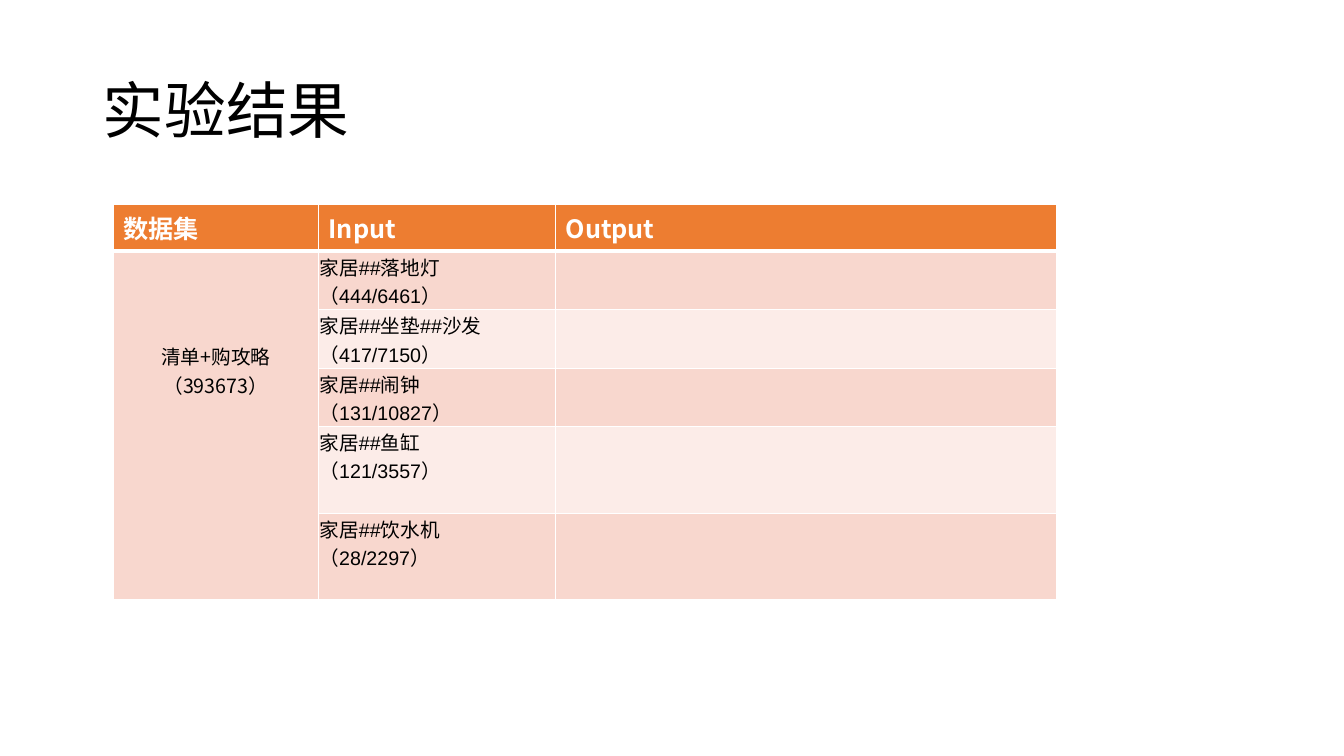
from dataclasses import dataclass

from lxml.etree import SubElement
from pptx import Presentation
from pptx.dml.color import RGBColor
from pptx.enum.text import MSO_ANCHOR as Anchor, PP_ALIGN as Align
from pptx.oxml.ns import qn
from pptx.util import Inches, Pt


@dataclass(frozen=True)
class Theme:
    cjk: str = "Noto Sans CJK SC"
    latin: str = "Arial"
    black: str = "000000"
    white: str = "FFFFFF"
    header: str = "ED7D31"
    bands: tuple[str, str] = ("F8D7CE", "FCECE8")
    title_size: int = 44
    header_size: int = 18
    body_size: int = 14
    line: float = 1
    header_line: float = 3


@dataclass(frozen=True)
class Sample:
    category: str
    count: str
    height: float = 0.58
    anchor: Anchor = Anchor.MIDDLE


THEME = Theme()
HEADERS = ("数据集", "Input", "Output")
DATASET = "清单+购攻略（393673）"
COL_WIDTHS = (2.04, 2.35, 4.97)
HEADER_HEIGHT = 0.45
SAMPLES = (
    Sample("家居##落地灯", "（444/6461）"),
    Sample("家居##坐垫##沙发", "（417/7150）"),
    Sample("家居##闹钟", "（131/10827）"),
    Sample("家居##鱼缸", "（121/3557）", 0.86, Anchor.TOP),
    Sample("家居##饮水机", "（28/2297）", 0.86, Anchor.TOP),
)


def set_text(tf, text: str, size: int, color: str, font: str, bold: bool = False):
    """Fill the first paragraph and format it, East Asian font included."""
    p = tf.paragraphs[0]
    p.text = text
    p.font.size = Pt(size)
    p.font.bold = bold
    p.font.name = font
    p.font.color.rgb = RGBColor.from_string(color)
    for r in p.runs:
        SubElement(r.font._element, qn("a:ea"), typeface=THEME.cjk)
    return p


def style_cell(cell, fill: str, top: float, bottom: float) -> None:
    """Give a cell white borders and a solid fill."""
    tc_pr = cell._tc.get_or_add_tcPr()
    widths = {"lnL": THEME.line, "lnR": THEME.line, "lnT": top, "lnB": bottom}
    for side, width in widths.items():
        ln = SubElement(tc_pr, qn(f"a:{side}"), w=str(Pt(width)))
        SubElement(SubElement(ln, qn("a:solidFill")), qn("a:srgbClr"), val=THEME.white)
    cell.fill.solid()
    cell.fill.fore_color.rgb = RGBColor.from_string(fill)


def add_title(s) -> None:
    title = s.shapes.title
    title.left, title.top = Inches(0.92), Inches(0.4)
    title.width, title.height = Inches(11.5), Inches(1.45)
    title.text_frame.vertical_anchor = Anchor.MIDDLE
    p = set_text(title.text_frame, "实验结果", THEME.title_size, THEME.black, THEME.cjk)
    p.alignment = Align.LEFT
    p.line_spacing = 0.9


def add_results(s) -> None:
    heights = (HEADER_HEIGHT, *(sample.height for sample in SAMPLES))
    table = s.shapes.add_table(
        len(heights), len(COL_WIDTHS), Inches(1.12), Inches(2.03),
        Inches(sum(COL_WIDTHS)), Inches(sum(heights))).table
    for col, width in zip(table.columns, COL_WIDTHS):
        col.width = Inches(width)
    for row, height in zip(table.rows, heights):
        row.height = Inches(height)

    # Header row
    for i, label in enumerate(HEADERS):
        cell = table.cell(0, i)
        style_cell(cell, THEME.header, THEME.line, THEME.header_line)
        set_text(cell.text_frame, label, THEME.header_size, THEME.white, THEME.cjk, True)

    # Banded rows with one sample each
    for i, sample in enumerate(SAMPLES, start=1):
        top = THEME.header_line if i == 1 else THEME.line
        for j in range(len(COL_WIDTHS)):
            band = THEME.bands[0 if j == 0 else (i - 1) % 2]
            style_cell(table.cell(i, j), band, top, THEME.line)
        cell = table.cell(i, 1)
        cell.margin_left = cell.margin_right = cell.margin_top = Inches(0.01)
        cell.margin_bottom = 0
        cell.vertical_anchor = sample.anchor
        set_text(cell.text_frame, f"{sample.category}\v{sample.count}",
                 THEME.body_size, THEME.black, THEME.latin)

    # Data set cell across all samples
    dataset = table.cell(1, 0)
    dataset.merge(table.cell(len(SAMPLES), 0))
    dataset.margin_top = Inches(0.9)
    p = set_text(dataset.text_frame, DATASET, THEME.body_size, THEME.black, THEME.cjk)
    p.alignment = Align.CENTER


def main() -> None:
    prs = Presentation()
    prs.slide_width, prs.slide_height = Inches(13.33), Inches(7.5)
    s = prs.slides.add_slide(prs.slide_layouts[5])
    add_title(s)
    add_results(s)
    prs.save("out.pptx")


if __name__ == "__main__":
    main()
